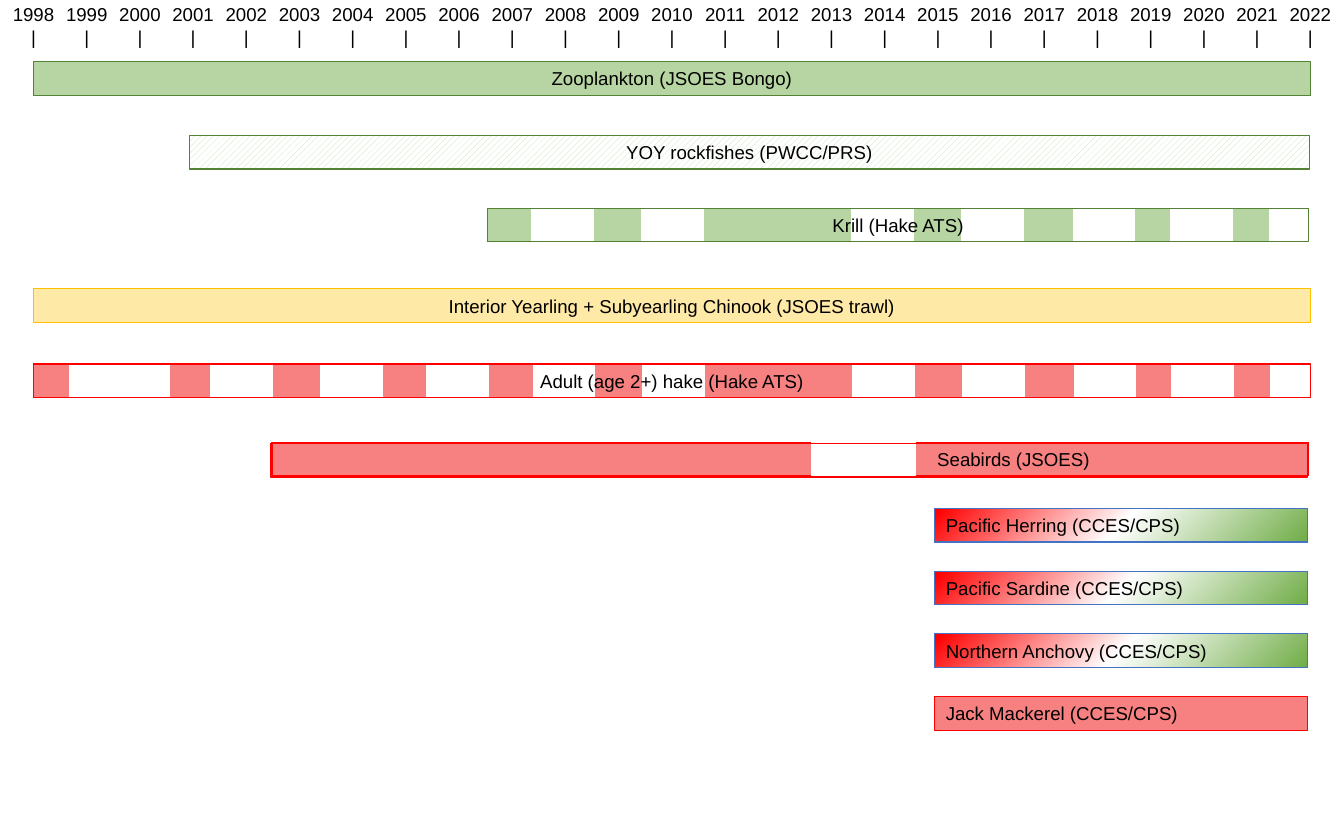
from lxml import etree
from pptx import Presentation
from pptx.dml.color import RGBColor
from pptx.enum.dml import MSO_PATTERN
from pptx.enum.shapes import MSO_SHAPE
from pptx.enum.text import MSO_ANCHOR, PP_ALIGN
from pptx.oxml import parse_xml
from pptx.oxml.ns import nsdecls, qn
from pptx.util import Inches, Pt

RECTANGLE = MSO_SHAPE.RECTANGLE
DIAGONAL = MSO_PATTERN.WIDE_UPWARD_DIAGONAL
MIDDLE = MSO_ANCHOR.MIDDLE
LEFT, CENTER = PP_ALIGN.LEFT, PP_ALIGN.CENTER

# One column per year, measured from the 1998 tick; heights are in inches.
FIRST_YEAR, LAST_YEAR = 1998, 2022
AXIS_LEFT, YEAR_WIDTH = 0.3, 0.475
BAR_HEIGHT = 0.3
SURVEY_GAP = 1.16

WHITE, BLACK = "FFFFFF", "000000"
GREEN, DARK_GREEN, PALE_GREEN = "70AD47", "548235", "C5E0B4"
CRIMSON, RED, GOLD, BLUE = "F10303", "FF0000", "FFC000", "4472C4"
GRADIENT = [(1, RED), (50, WHITE), (100, GREEN)]


def write(frame, *lines, align=CENTER, size=12, font="Arial", color=BLACK):
    frame.word_wrap = True
    for number, line in enumerate(lines):
        para = frame.add_paragraph() if number else frame.paragraphs[0]
        para.alignment = align
        span = para.add_run()
        span.text = line
        span.font.size = Pt(size)
        span.font.name = font
        span.font.color.rgb = RGBColor.from_string(color)


def add_bar(start, years, top, line, fill=None, opacity=100):
    """Draw a bar that starts at a year; without a fill it is an outline."""
    left = AXIS_LEFT + (start - FIRST_YEAR) * YEAR_WIDTH
    bar = page.shapes.add_shape(RECTANGLE, Inches(left), Inches(top),
                                Inches(years * YEAR_WIDTH), Inches(BAR_HEIGHT))
    bar.shadow.inherit = False
    bar.line.color.rgb = RGBColor.from_string(line)
    bar.line.width = Pt(0.75)
    bar.text_frame.vertical_anchor = MIDDLE
    if fill is None:
        bar.fill.background()
        return bar
    bar.fill.solid()
    bar.fill.fore_color.rgb = RGBColor.from_string(fill)
    if opacity < 100:
        color = bar._element.spPr.find(qn("a:solidFill"))[0]
        etree.SubElement(color, qn("a:alpha"), val=str(opacity * 1000))
    return bar


deck = Presentation()
deck.slide_width, deck.slide_height = Inches(12), Inches(7.5)
page = deck.slides.add_slide(deck.slide_layouts[6])

# Year axis
for year in range(FIRST_YEAR, LAST_YEAR + 1):
    box = page.shapes.add_textbox(
        Inches((year - FIRST_YEAR) * YEAR_WIDTH), Inches(-0.02),
        Inches(2 * AXIS_LEFT), Inches(0.3))
    write(box.text_frame, str(year), "|")

# Unbroken series
zooplankton = add_bar(1998, 24, 0.55, DARK_GREEN, GREEN, 50)
write(zooplankton.text_frame, "Zooplankton (JSOES Bongo)")

rockfishes = add_bar(2000.93, 21.05, 1.21, DARK_GREEN)
rockfishes.fill.patterned()
rockfishes.fill.pattern = DIAGONAL
rockfishes.fill.fore_color.rgb = RGBColor.from_string(PALE_GREEN)
rockfishes.fill.back_color.rgb = RGBColor.from_string(WHITE)
write(rockfishes.text_frame, "YOY rockfishes (PWCC/PRS)")

chinook = add_bar(1998, 24, 2.58, GOLD, GOLD, 35)
write(chinook.text_frame, "Interior Yearling + Subyearling Chinook (JSOES trawl)")

# Series with gaps: a tinted bar, white gaps, then an outline on top
late_gaps = [(start, SURVEY_GAP) for start in
             (2007.39, 2009.45, 2013.39, 2015.47, 2017.56, 2019.39, 2021.26)]
krill_gaps = [(start - 0.02, years) for start, years in late_gaps]
hake_gaps = [(1998.67, 1.89)] + [
    (start, SURVEY_GAP) for start in (2001.33, 2003.39, 2005.39)] + late_gaps

for label, start, years, top, line, fill, gaps in [
    ("Krill (Hake ATS)", 2006.53, 15.44, 1.86, DARK_GREEN, GREEN, krill_gaps),
    ("Adult (age 2+) hake (Hake ATS)", 1998, 24, 3.25, RED, CRIMSON, hake_gaps),
]:
    add_bar(start, years, top, line, fill, 50)
    for gap_start, gap_years in gaps:
        add_bar(gap_start, gap_years, top, WHITE, WHITE)
    outline = add_bar(start, years, top, line)
    write(outline.text_frame, label)

seabirds = add_bar(2002.48, 19.49, 3.95, RED, CRIMSON, 50)
seabirds.text_frame.margin_left = Inches(5.94)
write(seabirds.text_frame, "Seabirds (JSOES)", align=LEFT)
add_bar(2012.63, 1.94, 3.95, WHITE, WHITE)
add_bar(2002.46, 19.49, 3.96, RED)

# Forage fish
stops = "".join(
    f'<a:gs pos="{share * 1000}"><a:srgbClr val="{color}"/></a:gs>'
    for share, color in GRADIENT)
for row, fish in enumerate(["Pacific Herring", "Pacific Sardine",
                            "Northern Anchovy", "Jack Mackerel"]):
    top = 4.54 + 0.56 * row
    if fish == "Jack Mackerel":
        bar = add_bar(2014.94, 7.01, top, RED, CRIMSON, 50)
    else:
        bar = add_bar(2014.94, 7.01, top, BLUE)
        properties = bar._element.spPr
        properties.replace(properties.find(qn("a:noFill")), parse_xml(
            f'<a:gradFill {nsdecls("a")} rotWithShape="1"><a:gsLst>{stops}</a:gsLst>'
            '<a:lin ang="2700000" scaled="0"/></a:gradFill>'))
    write(bar.text_frame, f"{fish} (CCES/CPS)", align=LEFT)

deck.save("out.pptx")
